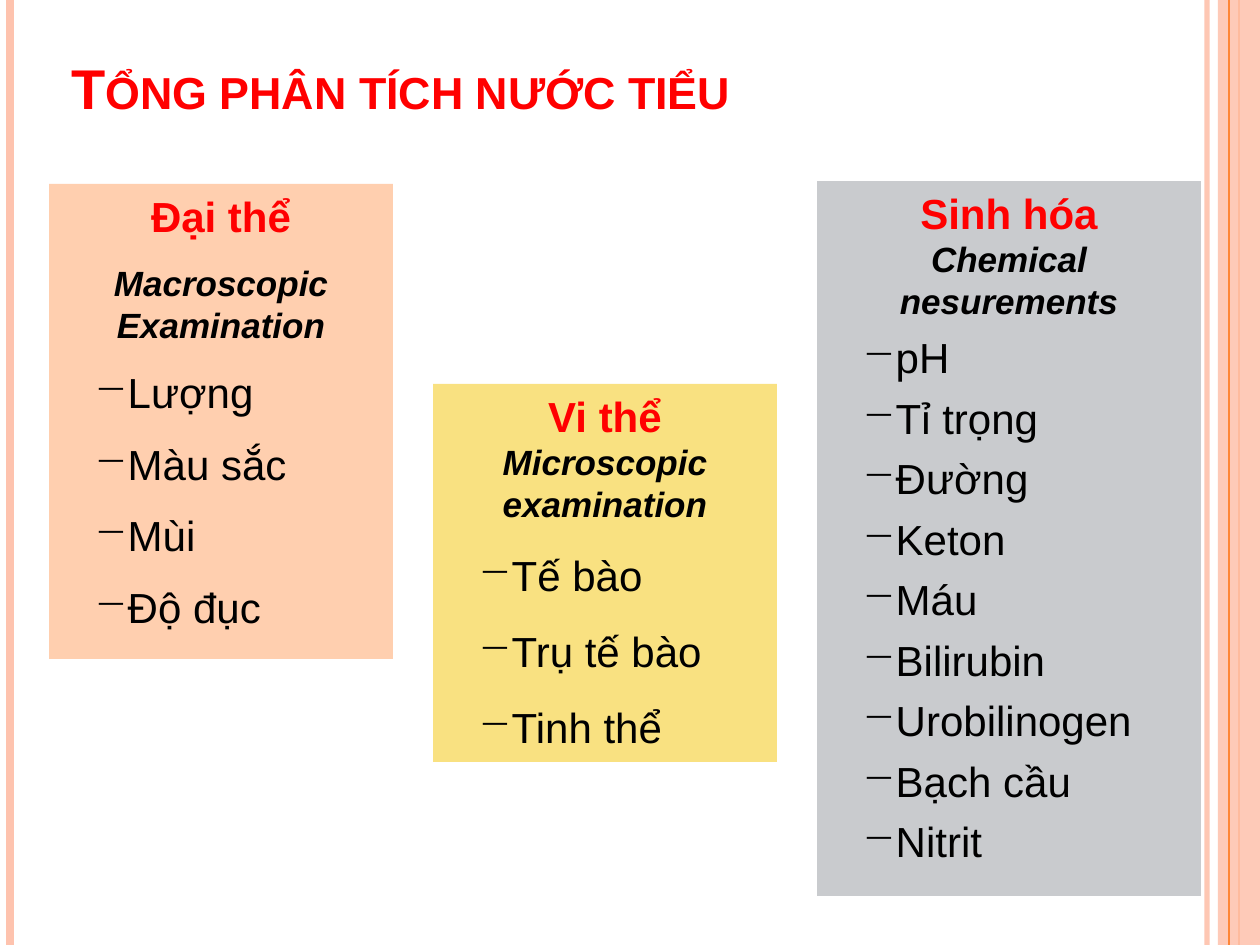
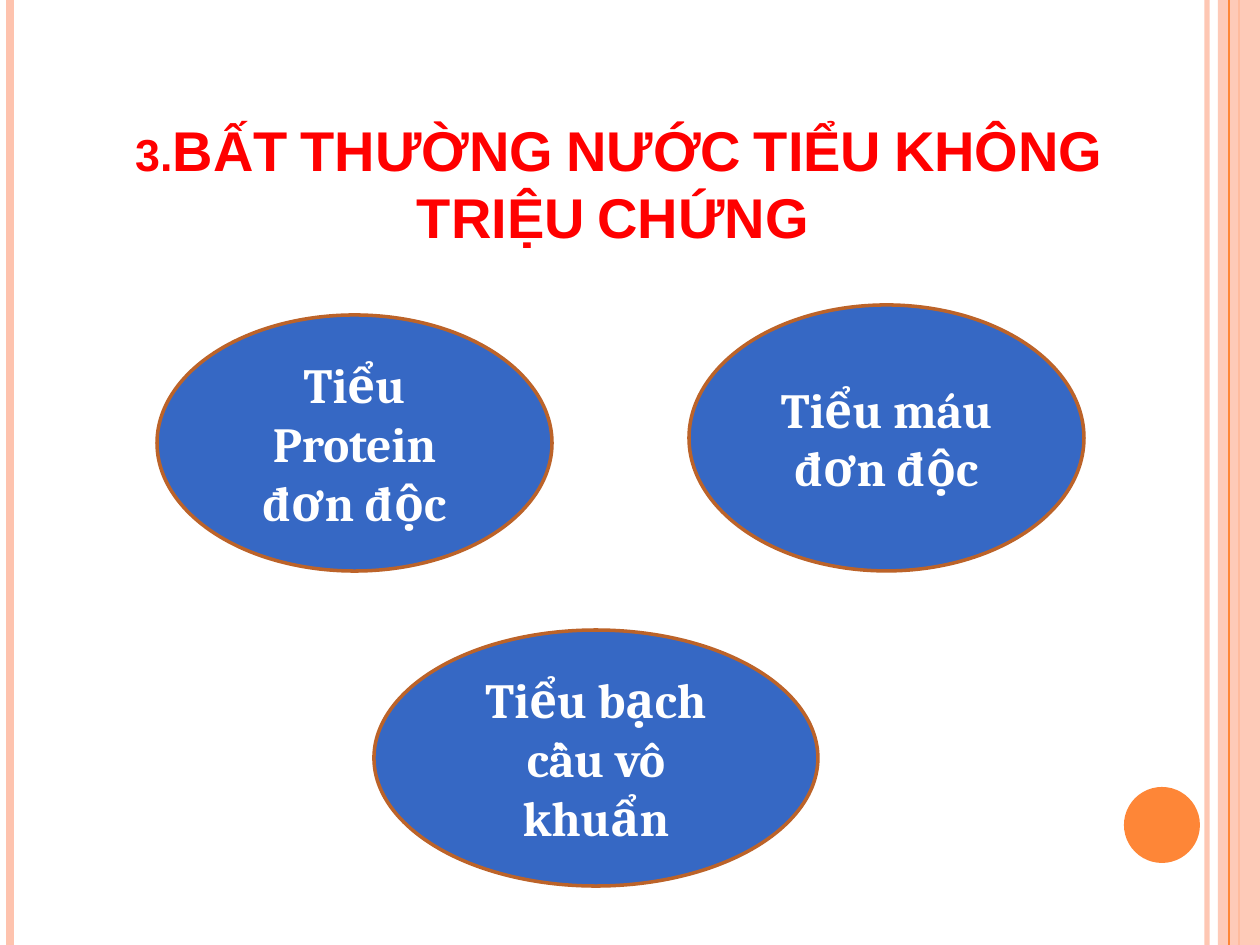
from lxml.etree import SubElement
from pptx import Presentation
from pptx.dml.color import RGBColor
from pptx.enum.shapes import MSO_CONNECTOR, MSO_SHAPE
from pptx.enum.text import MSO_ANCHOR, PP_ALIGN
from pptx.oxml.ns import qn
from pptx.util import Pt

EMU_PER_PX = 914400 / 126
PAGE_WIDTH, PAGE_HEIGHT = 1260, 945

COLORS = {
    "red": "FF0000",
    "black": "000000",
    "white": "FFFFFF",
    "orange": "FE8637",
    "blush": "FEC3AE",
    "peach": "FFCFAF",
    "grey": "C9CBCE",
    "yellow": "F9E181",
    "blue": "3668C4",
    "rust": "BC6329",
}

# Text styles: size, colour, bold, italic, font
TITLE = (32, "red", True, False, "Arial")
HEADING = (24, "red", True, False, "Arial")
ENGLISH = (20, "black", True, True, "Arial")
ITEM = (24, "black", False, False, "Arial")
BUBBLE = (28, "white", True, False, "Cambria")


def px(length):
    return round(length * EMU_PER_PX)


def color(name):
    return RGBColor.from_string(COLORS[name])


def set_opacity(element, percent):
    for rgb in element.iter(qn("a:srgbClr")):
        SubElement(rgb, qn("a:alpha"), val=str(percent * 1000))


# Basic elements
def add_span(para, text, style):
    span = para.add_run()
    span.text = text
    size, color_name, bold, italic, font_name = style
    span.font.size = Pt(size)
    span.font.color.rgb = color(color_name)
    span.font.bold = bold
    span.font.italic = italic
    span.font.name = font_name
    return span


def add_filled_shape(page, kind, place, fill, border=None):
    shape = page.shapes.add_shape(kind, *map(px, place))
    shape.shadow.inherit = False
    shape.fill.solid()
    shape.fill.fore_color.rgb = color(fill)
    if border:
        shape.line.color.rgb = color(border)
        shape.line.width = Pt(2)
    else:
        shape.line.fill.background()
    return shape


def add_vertical_line(page, x, color_name, width, opacity=100):
    line = page.shapes.add_connector(
        MSO_CONNECTOR.STRAIGHT, px(x), 0, px(x), px(PAGE_HEIGHT))
    line.line.color.rgb = color(color_name)
    line.line.width = Pt(width)
    properties = line._element.spPr
    SubElement(properties, qn("a:effectLst"))
    if opacity < 100:
        set_opacity(properties, opacity)


# Shared page parts
def add_page(deck):
    page = deck.slides.add_slide(deck.slide_layouts[6])
    add_vertical_line(page, 1207, "blush", 3, 93)
    add_vertical_line(page, 10, "blush", 4.5)
    add_vertical_line(page, 1239, "orange", 1.5)
    band = add_filled_shape(
        page, MSO_SHAPE.RECTANGLE, (1218, 0, 42, PAGE_HEIGHT), "blush")
    set_opacity(band._element.spPr, 87)
    add_vertical_line(page, 1229, "orange", 0.75)
    return page


def add_title(page, place, text, alignment=PP_ALIGN.LEFT):
    box = page.shapes.add_textbox(*map(px, place))
    frame = box.text_frame
    frame.word_wrap = True
    frame.vertical_anchor = MSO_ANCHOR.BOTTOM
    para = frame.paragraphs[0]
    para.alignment = alignment
    span = add_span(para, text, TITLE)
    span.font._element.set("cap", "small")


# Panels with a heading and dashed items
def make_dashed(para):
    properties = para._p.get_or_add_pPr()
    properties.set("marL", str(px(63)))
    properties.set("indent", str(px(-30)))
    SubElement(properties, qn("a:buChar"), char="−")


def add_panel(page, place, fill, headings, items, line_spacing=1.0, gap=0):
    """Headings is a list of paragraphs, each a list of (text, style)."""
    panel = add_filled_shape(page, MSO_SHAPE.RECTANGLE, place, fill)
    frame = panel.text_frame
    frame.word_wrap = True
    frame.vertical_anchor = MSO_ANCHOR.TOP
    lines = headings + [[(item, ITEM)] for item in items]
    for index, spans in enumerate(lines):
        para = frame.add_paragraph() if index else frame.paragraphs[0]
        if index < len(headings):
            para.alignment = PP_ALIGN.CENTER
        else:
            make_dashed(para)
            para.alignment = PP_ALIGN.LEFT
            para.line_spacing = line_spacing
        if gap:
            para.space_after = Pt(gap)
            if index:
                para.space_before = Pt(gap)
        for text, style in spans:
            add_span(para, text, style)


def add_bubble(page, place, text):
    bubble = add_filled_shape(page, MSO_SHAPE.OVAL, place, "blue", "rust")
    frame = bubble.text_frame
    frame.word_wrap = True
    frame.vertical_anchor = MSO_ANCHOR.MIDDLE
    para = frame.paragraphs[0]
    para.alignment = PP_ALIGN.CENTER
    add_span(para, text, BUBBLE)


# Pages
def build_urinalysis(deck):
    page = add_page(deck)
    add_title(page, (59, 29, 1134, 98), "Tổng phân tích nước tiểu")
    add_panel(
        page, (49, 184, 344, 475), "peach",
        [[("Đại thể", HEADING)], [("Macroscopic Examination", ENGLISH)]],
        ["Lượng", "Màu sắc", "Mùi", "Độ đục"], gap=6)
    add_panel(
        page, (817, 181, 384, 715), "grey",
        [[("Sinh hóa", HEADING)], [("Chemical nesurements", ENGLISH)]],
        ["pH", "Tỉ trọng", "Đường", "Keton", "Máu", "Bilirubin",
         "Urobilinogen", "Bạch cầu", "Nitrit"], line_spacing=1.2)
    add_panel(
        page, (433, 384, 344, 378), "yellow",
        [[("Vi thể ", HEADING), ("Microscopic examination", ENGLISH)]],
        ["Tế bào", "Trụ tế bào", "Tinh thể"], line_spacing=1.5)


def build_abnormalities(deck):
    page = add_page(deck)
    add_filled_shape(page, MSO_SHAPE.OVAL, (1124, 787, 76, 76), "orange")
    add_title(page, (98, 98, 1030, 158),
              " 3.BẤT THƯỜNG NƯỚC TIỂU KHÔNG TRIỆU CHỨNG", PP_ALIGN.CENTER)
    add_bubble(page, (157, 315, 395, 256), "Tiểu Protein đơn độc")
    add_bubble(page, (689, 305, 395, 266), "Tiểu máu đơn độc")
    add_bubble(page, (374, 630, 444, 256), "Tiểu bạch cầu vô khuẩn")


def main():
    deck = Presentation()
    deck.slide_width = px(PAGE_WIDTH)
    deck.slide_height = px(PAGE_HEIGHT)
    build_urinalysis(deck)
    build_abnormalities(deck)
    deck.save("out.pptx")


if __name__ == "__main__":
    main()
